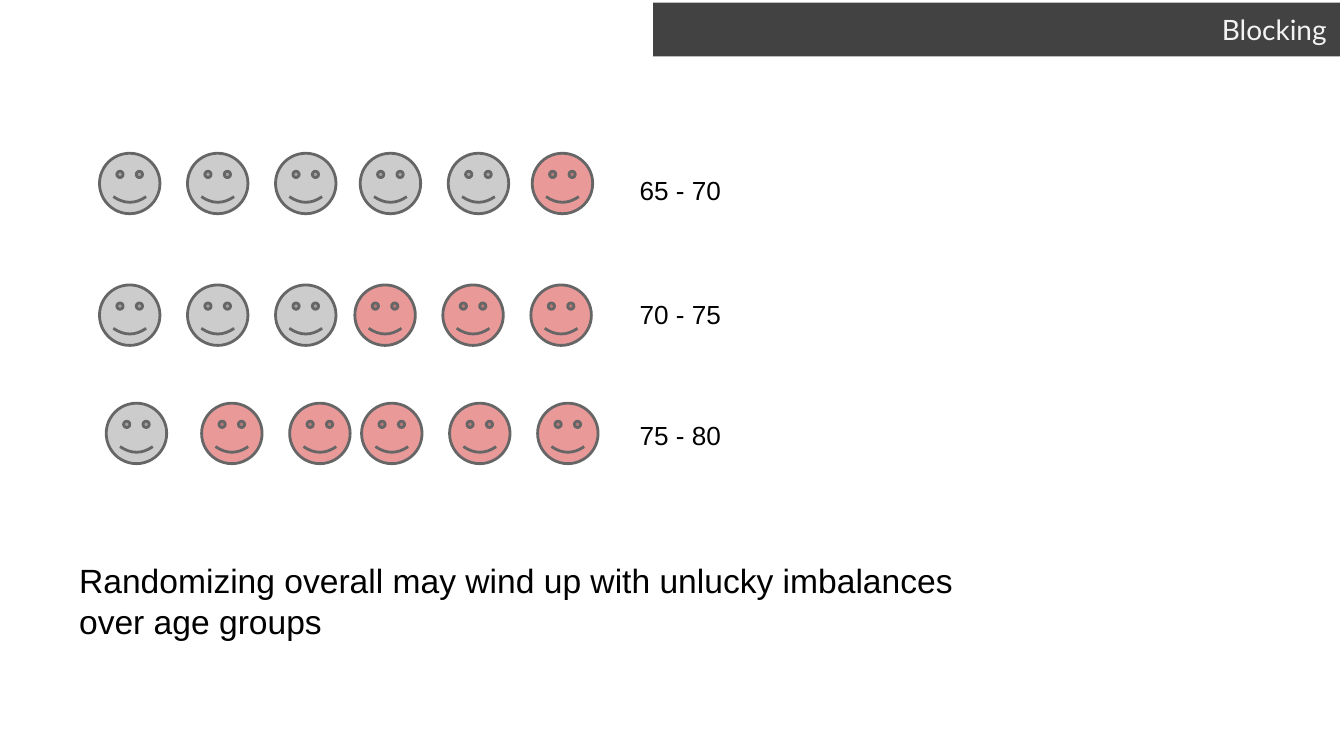
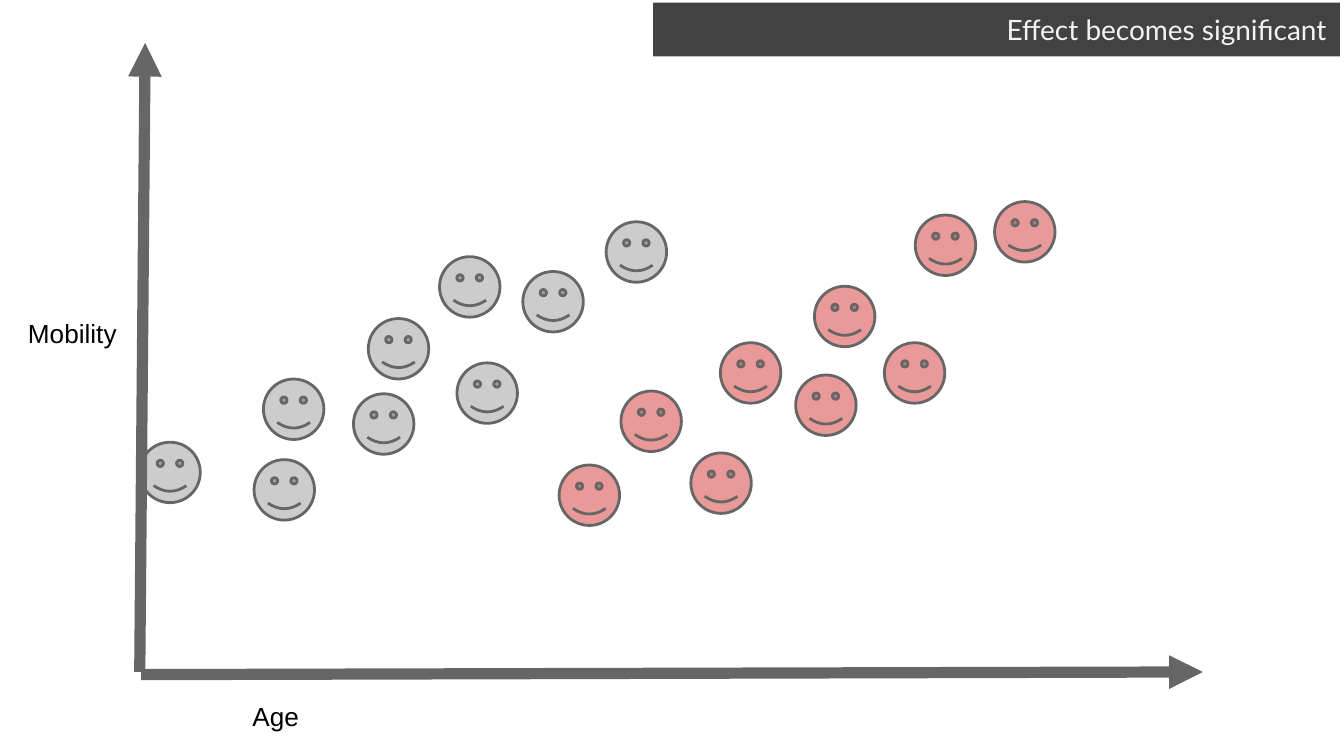
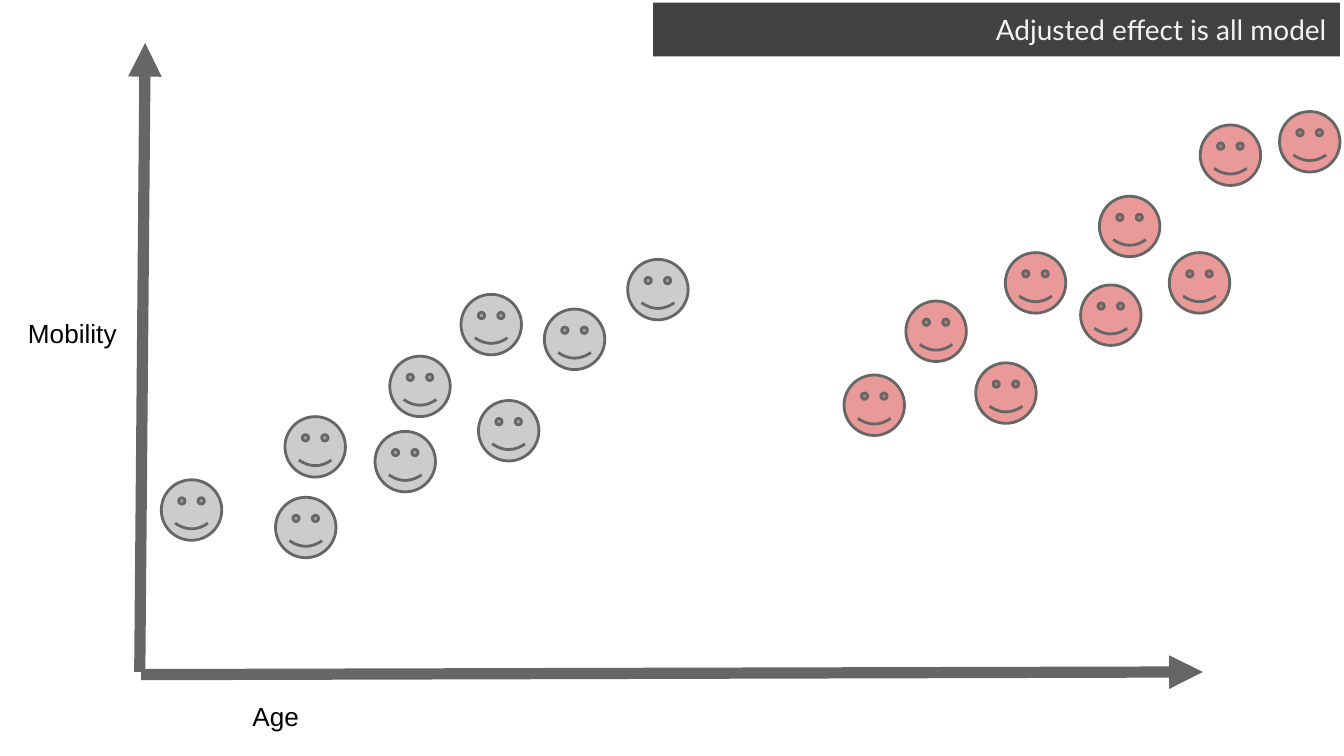
from lxml.etree import SubElement
from pptx import Presentation
from pptx.dml.color import RGBColor
from pptx.enum.shapes import MSO_CONNECTOR, MSO_SHAPE
from pptx.enum.text import MSO_ANCHOR, PP_ALIGN
from pptx.oxml.ns import qn
from pptx.util import Inches, Pt

# Shared look
GREY, PINK, OUTLINE = "CCCCCC", "EA9999", "666666"
BLACK, TITLE_TEXT = "000000", "F3F3F3"
FACE_SIZE = 0.45
FACE_PITCH = 0.655
LABEL_LEFT, LABEL_WIDTH, LABEL_HEIGHT = 4.66, 6.89, 0.8
color = RGBColor.from_string

# Slide 1: runs of evenly spaced faces (left, top, count, fill)
FACE_RUNS = [
    (0.74, 1.14, 3, GREY), (2.68, 1.14, 2, GREY), (3.96, 1.14, 1, PINK),
    (0.74, 2.12, 3, GREY), (2.64, 2.12, 3, PINK),
    (0.79, 3.0, 1, GREY), (1.5, 3.0, 2, PINK), (2.69, 3.0, 3, PINK),
]
AGE_LABELS = [("65 - 70", 1.2), ("70 - 75", 2.12), ("75 - 80", 3.02)]

# Slides 2 and 3: each cluster keeps its form and moves as a whole
GREY_CLUSTER = [(0, 0), (0.85, 0.13), (1.59, -0.36), (0.92, -0.47), (1.7, -0.92),
                (2.23, -1.38), (2.85, -1.27), (2.36, -0.59), (3.47, -1.64)]
PINK_CLUSTER = [(1.76, -0.67), (1.9, -1.33), (3.24, -1.96), (2.65, -1.86), (0.98, -0.09),
                (1.2, -0.91), (2.42, -0.91), (0, 0), (0.46, -0.55)]
SCATTERS = [
    ("Effect becomes significant", (1.04, 3.29), (4.16, 3.46)),
    ("Adjusted effect is all model", (1.2, 3.57), (6.28, 2.79)),
]
AXES = [((1.04, 5.0), (1.08, 0.32)), ((1.05, 5.02), (8.95, 5.0))]
AXIS_LABELS = [("Age", 1.78, 5.11, LABEL_WIDTH), ("Mobility", 0.11, 2.26, 0.94)]


def add_face(shapes, left, top, fill):
    face = shapes.add_shape(MSO_SHAPE.SMILEY_FACE, Inches(left), Inches(top),
                            Inches(FACE_SIZE), Inches(FACE_SIZE))
    face.shadow.inherit = False
    face.fill.solid()
    face.fill.fore_color.rgb = color(fill)
    face.line.color.rgb = color(OUTLINE)
    face.line.width = Pt(1.5)


def add_text(page, text, left, top, width, height=LABEL_HEIGHT, size=14, font="Arial",
             fill=BLACK, align=PP_ALIGN.LEFT, anchor=MSO_ANCHOR.TOP):
    box = page.shapes.add_textbox(Inches(left), Inches(top), Inches(width), Inches(height))
    frame = box.text_frame
    frame.word_wrap = True
    frame.vertical_anchor = anchor
    frame.margin_left = frame.margin_right = Inches(0.1)
    frame.margin_top = frame.margin_bottom = Inches(0.1)
    para = frame.paragraphs[0]
    para.alignment = align
    span = para.add_run()
    span.text = text
    span.font.size = Pt(size)
    span.font.name = font
    span.font.color.rgb = color(fill)
    return box


deck = Presentation()
deck.slide_width, deck.slide_height = Inches(10), Inches(5.625)

# Every slide: translucent title band at top right
pages = []
for title in ["Blocking"] + [scatter[0] for scatter in SCATTERS]:
    page = deck.slides.add_slide(deck.slide_layouts[6])
    band = add_text(page, title, 4.86, 0.02, 5.11, 0.4, 15, "Lato", TITLE_TEXT,
                    PP_ALIGN.RIGHT, MSO_ANCHOR.MIDDLE)
    band.fill.solid()
    band.fill.fore_color.rgb = color(BLACK)
    tint = band.fill._xPr.find(qn("a:solidFill"))[0]
    SubElement(tint, qn("a:alpha"), val="74000")
    pages.append(page)

# Slide 1: rows of faces by age group
blocking = pages[0]
for left, top, count, fill in FACE_RUNS:
    for column in range(count):
        add_face(blocking.shapes, left + column * FACE_PITCH, top, fill)
for label, top in AGE_LABELS:
    add_text(blocking, label, LABEL_LEFT, top, LABEL_WIDTH)
add_text(blocking, "Randomizing overall may wind up with unlucky imbalances over age groups",
         0.49, 4.07, LABEL_WIDTH, size=18)

# Slides 2 and 3: mobility against age
for page, (title, grey_origin, pink_origin) in zip(pages[1:], SCATTERS):
    for cluster, origin, fill in [(GREY_CLUSTER, grey_origin, GREY),
                                  (PINK_CLUSTER, pink_origin, PINK)]:
        group = page.shapes.add_group_shape()
        for across, down in cluster:
            add_face(group.shapes, origin[0] + across, origin[1] + down, fill)

    # Axes with arrowheads
    for start, end in AXES:
        axis = page.shapes.add_connector(MSO_CONNECTOR.STRAIGHT,
                                         *[Inches(length) for length in start + end])
        axis.line.color.rgb = color(OUTLINE)
        axis.line.width = Pt(6)
        SubElement(axis.line._get_or_add_ln(), qn("a:tailEnd"), type="triangle")
        SubElement(axis._element.spPr, qn("a:effectLst"))
    for label, left, top, width in AXIS_LABELS:
        add_text(page, label, left, top, width)

deck.save("out.pptx")
